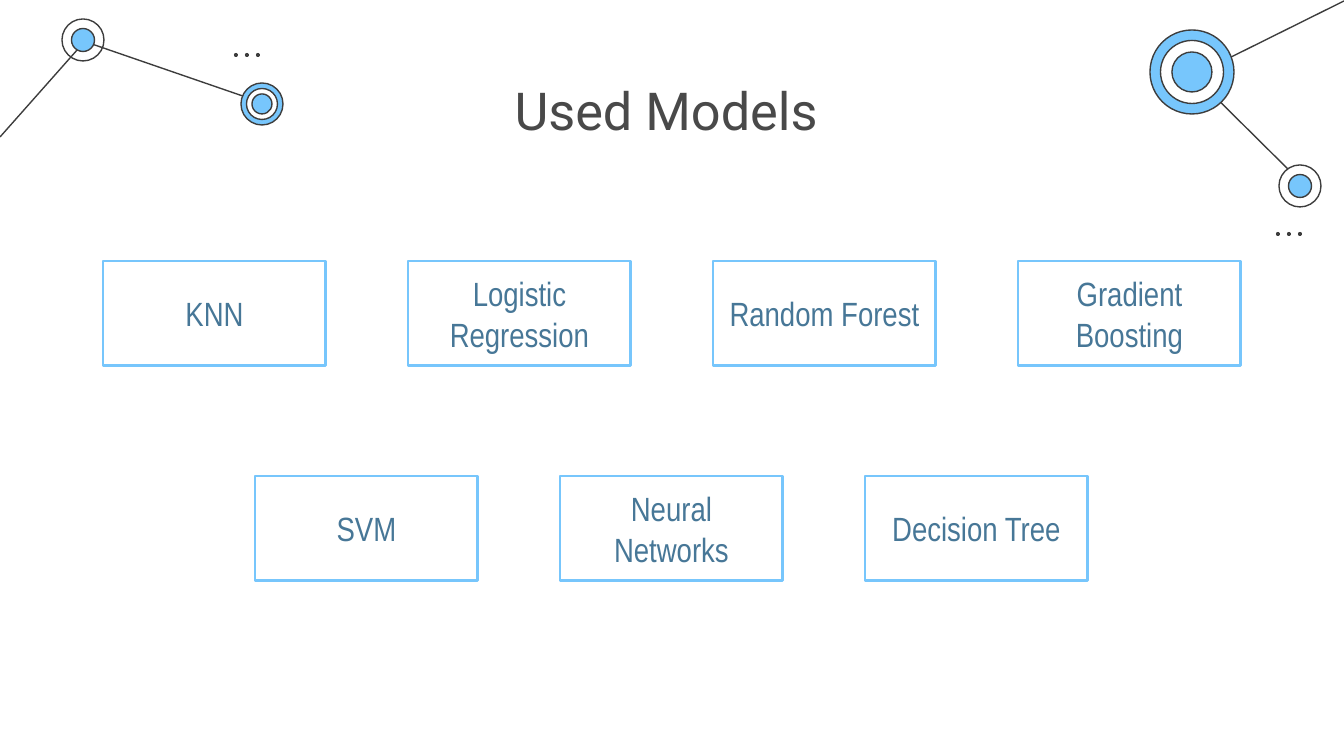
from lxml import etree
from pptx import Presentation
from pptx.dml.color import RGBColor
from pptx.enum.shapes import MSO_CONNECTOR as Link, MSO_SHAPE as Shape
from pptx.enum.text import MSO_ANCHOR as Anchor, PP_ALIGN as Align
from pptx.oxml.ns import qn
from pptx.util import Pt

WIDTH, HEIGHT = 1344, 756
PX = 9144000 / WIDTH

SKY = RGBColor(0x77, 0xC6, 0xFC)
STEEL = RGBColor(0x47, 0x77, 0x97)
INK = RGBColor(0x3D, 0x3D, 0x3D)
GRAY = RGBColor(0x49, 0x49, 0x49)
WHITE = RGBColor(0xFF, 0xFF, 0xFF)


def px(*lengths):
    return [round(length * PX) for length in lengths]


def write(box, text, *, font, size, color, anchor):
    frame = box.text_frame
    frame.word_wrap = True
    frame.vertical_anchor = anchor
    frame.margin_left, frame.margin_top, frame.margin_right, frame.margin_bottom = px(13, 13, 13, 13)
    para = frame.paragraphs[0]
    para.alignment = Align.CENTER
    span = para.add_run()
    span.text = text
    span.font.name = font
    span.font.size = Pt(size)
    span.font.color.rgb = color


deck = Presentation()
deck.slide_width, deck.slide_height = px(WIDTH, HEIGHT)
page = deck.slides.add_slide(deck.slide_layouts[6])

# Lines between the corner nodes
for ends in [
    (1300, 181, 1192, 74),
    (86, 42, 263, 103),
    (0, 137, 86, 40),
    (1344, 1, 1197, 74),
]:
    line = page.shapes.add_connector(Link.STRAIGHT, *px(*ends))
    line.line.color.rgb = INK
    line.line.width = Pt(0.75)
    etree.SubElement(line._element.spPr, qn("a:effectLst"))

# Corner nodes: centre, then diameter and fill of each ring from outside in
nodes = [
    (83, 40, [(42, None), (23, SKY)]),
    (262, 104, [(42, SKY), (31, WHITE), (20, SKY)]),
    (1192, 72, [(84, SKY), (63, WHITE), (40, SKY)]),
    (1300, 186, [(42, WHITE), (23, SKY)]),
]
for x, y, rings in nodes:
    for size, color in rings:
        ring = page.shapes.add_shape(Shape.OVAL, *px(x - size / 2, y - size / 2, size, size))
        ring.shadow.inherit = False
        ring.line.color.rgb = INK
        ring.line.width = Pt(0.75)
        if color is None:
            ring.fill.background()
        else:
            ring.fill.solid()
            ring.fill.fore_color.rgb = color

# Rows of three dots
for left, top in [(234, 53), (1276, 232)]:
    for i in range(3):
        dot = page.shapes.add_shape(Shape.OVAL, *px(left + 11 * i, top, 4, 4))
        dot.shadow.inherit = False
        dot.fill.solid()
        dot.fill.fore_color.rgb = INK
        dot.line.fill.background()

# Title
title = page.shapes.add_textbox(*px(231, 65, 883, 87))
write(title, "Used Models ", font="Roboto", size=28, color=GRAY, anchor=Anchor.TOP)

# Model boxes, each row centred on the page
BOX_WIDTH, BOX_HEIGHT, PITCH = 223, 105, 305
rows = [
    (261, ["KNN", "Logistic Regression", "Random Forest", "Gradient Boosting"]),
    (476, ["SVM", "Neural Networks", "Decision Tree"]),
]
for top, models in rows:
    left = (WIDTH - BOX_WIDTH - PITCH * (len(models) - 1)) // 2
    for i, model in enumerate(models):
        box = page.shapes.add_shape(
            Shape.RECTANGLE, *px(left + PITCH * i, top, BOX_WIDTH, BOX_HEIGHT))
        box.shadow.inherit = False
        box.fill.background()
        box.line.color.rgb = SKY
        box.line.width = Pt(1.5)
        write(box, model, font="Arial Narrow", size=18, color=STEEL, anchor=Anchor.MIDDLE)

deck.save("out.pptx")
